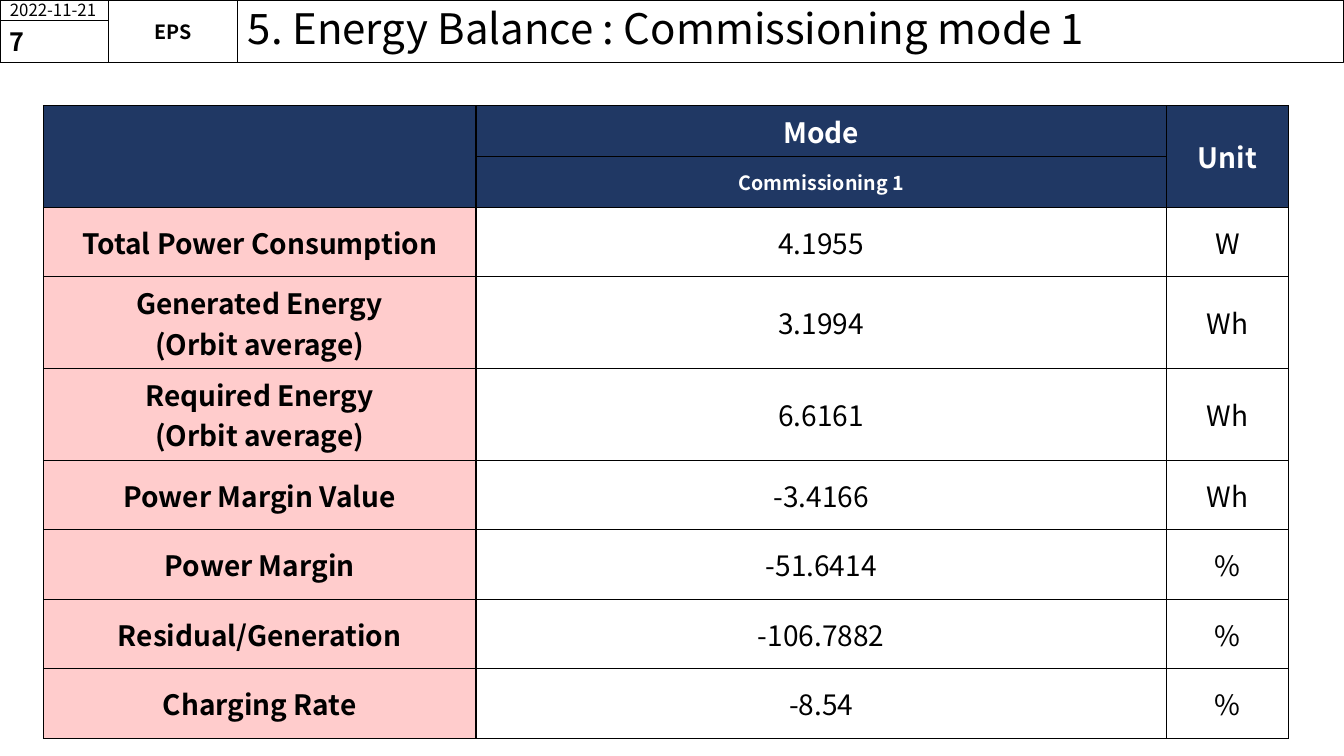
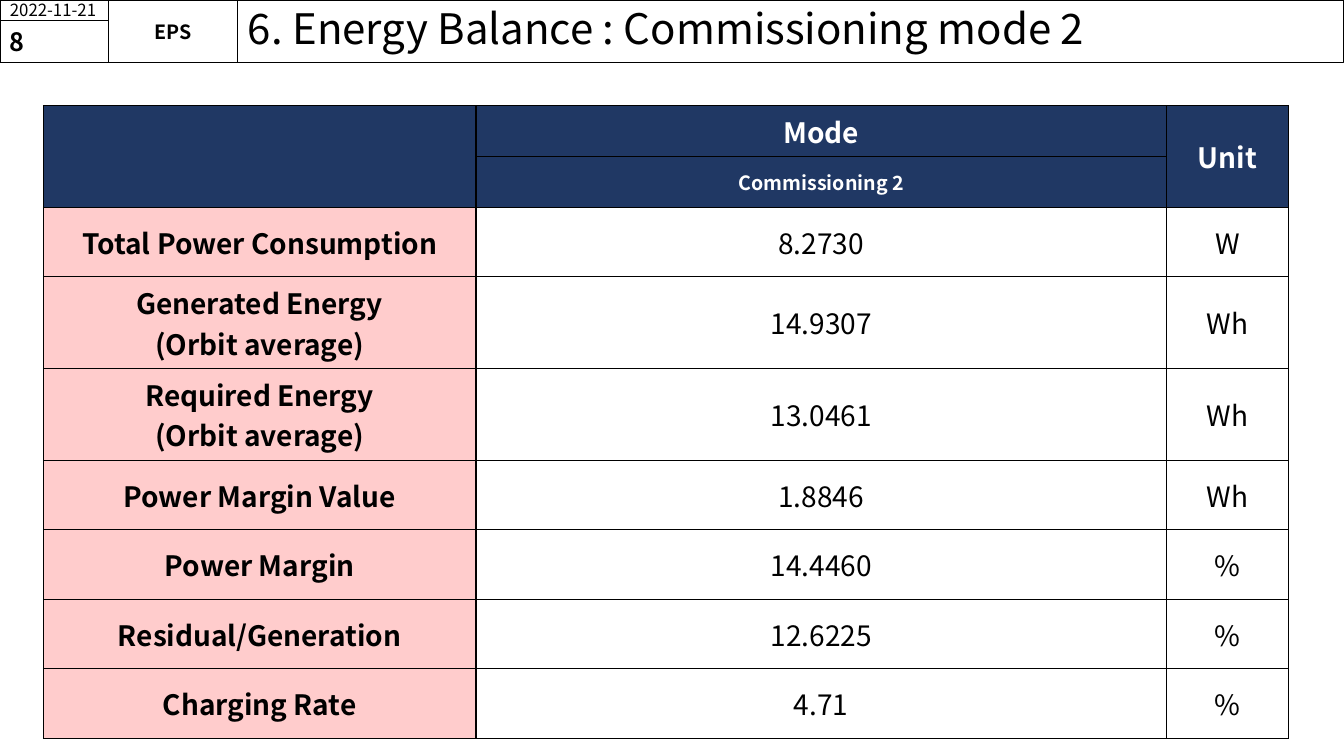
import pptx
import pptx.util
import pptx.dml.color
import pptx.enum.shapes
import pptx.enum.text
import pptx.oxml

FONT = "Noto Sans CJK KR"
BLACK, WHITE, NAVY, PINK = "000000", "FFFFFF", "203864", "FFCCCC"
ALIGN = pptx.enum.text.PP_ALIGN
MIDDLE = pptx.enum.text.MSO_ANCHOR.MIDDLE

DATE_WIDTH, TEAM_WIDTH = 8.1, 9.6
DATE_HEIGHT, BAND_HEIGHT = 2.67, 8.27
TITLE_LEFT = DATE_WIDTH + TEAM_WIDTH
TABLE_LEFT, TABLE_TOP = 3.23, 14
COLUMN_WIDTHS = [32.18, 51.39, 9.08]
HEAD_ROW, LINE_ROW, DOUBLE_ROW = 6.67, 9.2, 12.13

MEASURES = [
    ("Total Power Consumption", "W"),
    ("Generated Energy\n(Orbit average)", "Wh"),
    ("Required Energy\n(Orbit average)", "Wh"),
    ("Power Margin Value", "Wh"),
    ("Power Margin", "%"),
    ("Residual/Generation", "%"),
    ("Charging Rate", "%"),
]
MODES = [
    (7, "5. Energy Balance : Commissioning mode 1", "Commissioning 1",
     ["4.1955", "3.1994", "6.6161", "-3.4166", "-51.6414", "-106.7882", "-8.54"]),
    (8, "6. Energy Balance : Commissioning mode 2", "Commissioning 2",
     ["8.2730", "14.9307", "13.0461", "1.8846", "14.4460", "12.6225", "4.71"]),
]


def color(value):
    return pptx.dml.color.RGBColor.from_string(value)


def write(frame, text, size=20, bold=False, ink=BLACK, align=ALIGN.CENTER, spacing=None):
    for index, line in enumerate(text.split("\n")):
        para = frame.add_paragraph() if index else frame.paragraphs[0]
        para.alignment = align
        if spacing:
            para.line_spacing = spacing
        span = para.add_run()
        span.text = line
        span.font.name = FONT
        span.font.size = pptx.util.Pt(size)
        span.font.bold = bold
        span.font.color.rgb = color(ink)


class Report:
    def __init__(self):
        self.deck = pptx.Presentation()
        self.deck.slide_width = pptx.util.Inches(13.33)
        self.deck.slide_height = pptx.util.Inches(7.5)
        self.page = None

    def across(self, percent):
        return round(self.deck.slide_width * percent / 100)

    def down(self, percent):
        return round(self.deck.slide_height * percent / 100)

    def area(self, left, top, width, height):
        return self.across(left), self.down(top), self.across(width), self.down(height)

    def add_page(self, title):
        self.page = self.deck.slides.add_slide(self.deck.slide_layouts[5])
        box = self.page.shapes.title
        box.left, box.top, box.width, box.height = self.area(
            TITLE_LEFT, 0, 100 - TITLE_LEFT, BAND_HEIGHT)
        self.outline(box)
        box.text_frame.auto_size = pptx.enum.text.MSO_AUTO_SIZE.NONE
        write(box.text_frame, title, size=30, align=ALIGN.LEFT, spacing=0.9)

    def outline(self, box):
        box.line.color.rgb = color(BLACK)
        box.line.width = pptx.util.Pt(0.75)
        box.text_frame.vertical_anchor = MIDDLE
        box.text_frame.word_wrap = True

    def add_label(self, text, left, top, width, height, inset=True, **style):
        box = self.page.shapes.add_shape(
            pptx.enum.shapes.MSO_SHAPE.RECTANGLE, *self.area(left, top, width, height))
        box.shadow.inherit = False
        box.fill.background()
        self.outline(box)
        frame = box.text_frame
        if not inset:
            frame.margin_left = frame.margin_right = frame.margin_top = frame.margin_bottom = 0
        write(frame, text, **style)

    def add_band(self, number):
        self.add_label("2022-11-21", 0, 0, DATE_WIDTH, DATE_HEIGHT, size=12, align=ALIGN.LEFT)
        self.add_label("EPS", DATE_WIDTH, 0, TEAM_WIDTH, BAND_HEIGHT,
                       inset=False, size=14, bold=True)
        self.add_label(str(number), 0, DATE_HEIGHT, DATE_WIDTH, BAND_HEIGHT - DATE_HEIGHT,
                       size=18, bold=True, align=ALIGN.LEFT)

    def paint_cell(self, cell, fill):
        cell.vertical_anchor = MIDDLE
        cell.fill.solid()
        cell.fill.fore_color.rgb = color(fill)
        properties = cell._tc.get_or_add_tcPr()
        for index, side in enumerate("LRTB"):
            properties.insert(index, pptx.oxml.parse_xml(
                f'<a:ln{side} xmlns:a="http://schemas.openxmlformats.org/drawingml/2006/main"'
                f' w="{pptx.util.Pt(1)}"><a:solidFill><a:srgbClr val="{BLACK}"/></a:solidFill>'
                f'</a:ln{side}>'))

    def add_balance(self, mode, values):
        rows = [("", "Mode", "Unit"), ("", mode, "")]
        rows += [(name, value, unit) for (name, unit), value in zip(MEASURES, values)]
        heights = [HEAD_ROW] * 2
        heights += [DOUBLE_ROW if "\n" in name else LINE_ROW for name, unit in MEASURES]
        table = self.page.shapes.add_table(
            len(rows), len(COLUMN_WIDTHS),
            *self.area(TABLE_LEFT, TABLE_TOP, sum(COLUMN_WIDTHS), sum(heights))).table
        table.first_row = table.horz_banding = False
        for column, width in zip(table.columns, COLUMN_WIDTHS):
            column.width = self.across(width)
        for row, height in zip(table.rows, heights):
            row.height = self.down(height)
        for column in (0, 2):
            table.cell(0, column).merge(table.cell(1, column))
        for r, texts in enumerate(rows):
            for c, text in enumerate(texts):
                cell = table.cell(r, c)
                head = r < 2
                self.paint_cell(cell, NAVY if head else PINK if c == 0 else WHITE)
                if text:
                    write(cell.text_frame, text, size=14 if r == 1 else 20,
                          bold=head or c == 0, ink=WHITE if head else BLACK)


def main():
    report = Report()
    for number, title, mode, values in MODES:
        report.add_page(title)
        report.add_band(number)
        report.add_balance(mode, values)
    report.deck.save("out.pptx")


if __name__ == "__main__":
    main()
